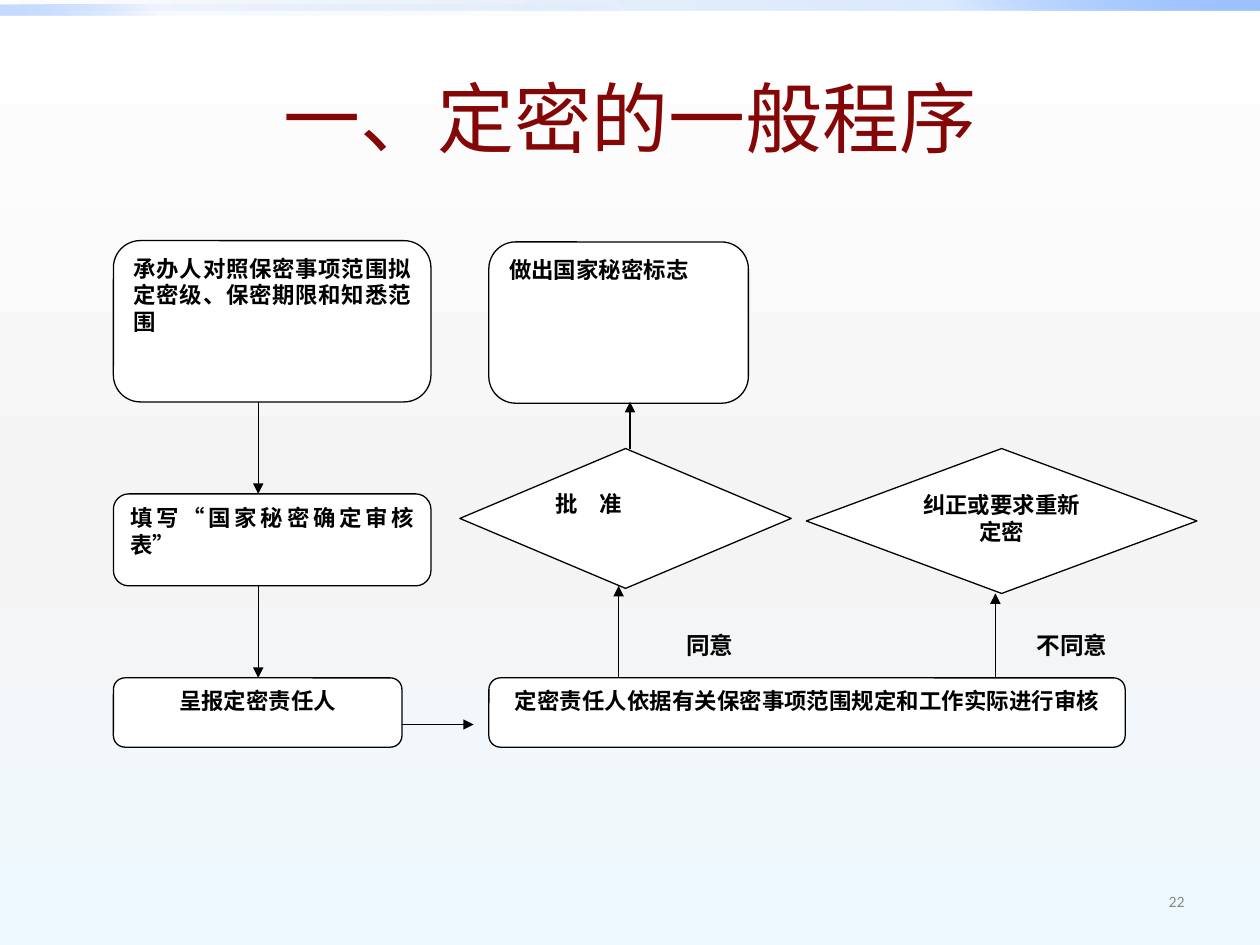
from lxml.etree import SubElement
from pptx import Presentation
from pptx.dml.color import RGBColor
from pptx.enum.shapes import MSO_CONNECTOR, MSO_SHAPE
from pptx.enum.text import MSO_ANCHOR, PP_ALIGN
from pptx.oxml import parse_xml
from pptx.oxml.ns import nsdecls, qn
from pptx.util import Inches, Pt

CJK = "Noto Sans CJK SC"
BLACK = "000000"
ROUNDED = MSO_SHAPE.FLOWCHART_ALTERNATE_PROCESS
DIAMOND = MSO_SHAPE.FLOWCHART_DECISION
JUSTIFY, CENTER = PP_ALIGN.JUSTIFY, PP_ALIGN.CENTER


def rgb(color):
    return RGBColor.from_string(color)


def set_gradient(solid, stops, angle):
    gs = "".join(
        f'<a:gs pos="{pos * 1000}"><a:srgbClr val="{color}">'
        f'<a:alpha val="{alpha * 1000}"/></a:srgbClr></a:gs>'
        for pos, color, alpha in stops
    )
    grad = parse_xml(
        f'<a:gradFill rotWithShape="1" {nsdecls("a")}><a:gsLst>{gs}</a:gsLst>'
        f'<a:lin ang="{angle * 60000}" scaled="0"/></a:gradFill>'
    )
    solid.getparent().replace(solid, grad)


def set_text(tf, text, size, color=BLACK, font=CJK, bold=False, align=None):
    tf.text = text
    tf.word_wrap = True
    p = tf.paragraphs[0]
    p.alignment = align
    r = p.runs[0]
    r.font.size = Pt(size)
    r.font.bold = bold
    r.font.name = font
    r.font.color.rgb = rgb(color)
    SubElement(r.font._element, qn("a:ea")).set("typeface", font)


def add_background(s):
    s.background.fill.solid()
    solid = s._element.find(".//" + qn("a:solidFill"))
    set_gradient(solid, [(0, "FFFFFF", 100), (55, "F4F4F4", 100), (100, "EEF9FF", 100)], 90)


def add_bar(s, top, width, alphas, angle):
    sp = s.shapes.add_shape(MSO_SHAPE.RECTANGLE, 0, Inches(top), Inches(width), Inches(0.08))
    sp.shadow.inherit = False
    sp.line.fill.background()
    sp.fill.solid()
    stops = zip((0, 75, 100), ("0058B7", "4F95FF", "9EC2FF"), alphas)
    set_gradient(sp._element.spPr.find(qn("a:solidFill")), stops, angle)


def add_title(s, text):
    sp = s.shapes.title
    sp.left, sp.top, sp.width, sp.height = map(Inches, (0.5, 0.3, 9, 1.25))
    sp.text_frame.vertical_anchor = MSO_ANCHOR.MIDDLE
    set_text(sp.text_frame, text, 44, "850606", align=CENTER)


def add_node(s, kind, box, text, align):
    sp = s.shapes.add_shape(kind, *map(Inches, box))
    sp.shadow.inherit = False
    sp.fill.solid()
    sp.fill.fore_color.rgb = rgb("FFFFFF")
    sp.line.color.rgb = rgb(BLACK)
    sp.line.width = Pt(0.75)
    sp.text_frame.vertical_anchor = MSO_ANCHOR.TOP
    set_text(sp.text_frame, text, 12.8, bold=True, align=align)


def add_arrow(s, *ends):
    cn = s.shapes.add_connector(MSO_CONNECTOR.STRAIGHT, *map(Inches, ends))
    cn.line.color.rgb = rgb(BLACK)
    cn.line.width = Pt(0.75)
    SubElement(cn.line._get_or_add_ln(), qn("a:tailEnd")).set("type", "triangle")
    SubElement(cn._element.spPr, qn("a:effectLst"))


def add_label(s, box, text, size, **style):
    tf = s.shapes.add_textbox(*map(Inches, box)).text_frame
    set_text(tf, text, size, **style)
    return tf


def main():
    prs = Presentation()
    prs.slide_width, prs.slide_height = Inches(10), Inches(7.5)
    s = prs.slides.add_slide(prs.slide_layouts[5])

    add_background(s)
    add_bar(s, 0, 10, (0, 20, 100), 315)
    add_bar(s, 0.04, 5, (0, 5, 60), 135)
    add_title(s, "一、定密的一般程序")

    nodes = [
        (ROUNDED, (0.9, 1.91, 2.52, 1.28), "承办人对照保密事项范围拟定密级、保密期限和知悉范围", JUSTIFY),
        (ROUNDED, (0.9, 3.92, 2.52, 0.73), "填写“国家秘密确定审核表”", JUSTIFY),
        (ROUNDED, (0.9, 5.38, 2.29, 0.55), "呈报定密责任人", CENTER),
        (ROUNDED, (3.88, 5.38, 5.05, 0.55), "定密责任人依据有关保密事项范围规定和工作实际进行审核", CENTER),
        (DIAMOND, (3.65, 3.56, 2.63, 1.11), "批　准", JUSTIFY),
        (DIAMOND, (6.4, 3.56, 3.1, 1.15), "纠正或要求重新定密", CENTER),
        (ROUNDED, (3.88, 1.92, 2.06, 1.28), "做出国家秘密标志", JUSTIFY),
    ]
    for node in nodes:
        add_node(s, *node)

    arrows = [
        (2.05, 3.19, 2.05, 3.92),
        (2.05, 4.65, 2.05, 5.38),
        (3.19, 5.75, 3.76, 5.75),
        (4.91, 5.38, 4.91, 4.65),
        (7.9, 5.38, 7.9, 4.71),
        (5, 3.56, 5, 3.19),
    ]
    for arrow in arrows:
        add_arrow(s, *arrow)

    add_label(s, (5.35, 4.96, 0.84, 0.33), "同意", 13.5, bold=True)
    add_label(s, (8.13, 4.96, 1.13, 0.33), "不同意", 13.5, bold=True)
    number = add_label(s, (7.17, 6.95, 2.33, 0.4), "22", 9,
                       color="898989", font="Calibri", align=PP_ALIGN.RIGHT)
    number.vertical_anchor = MSO_ANCHOR.MIDDLE

    prs.save("out.pptx")


if __name__ == "__main__":
    main()
